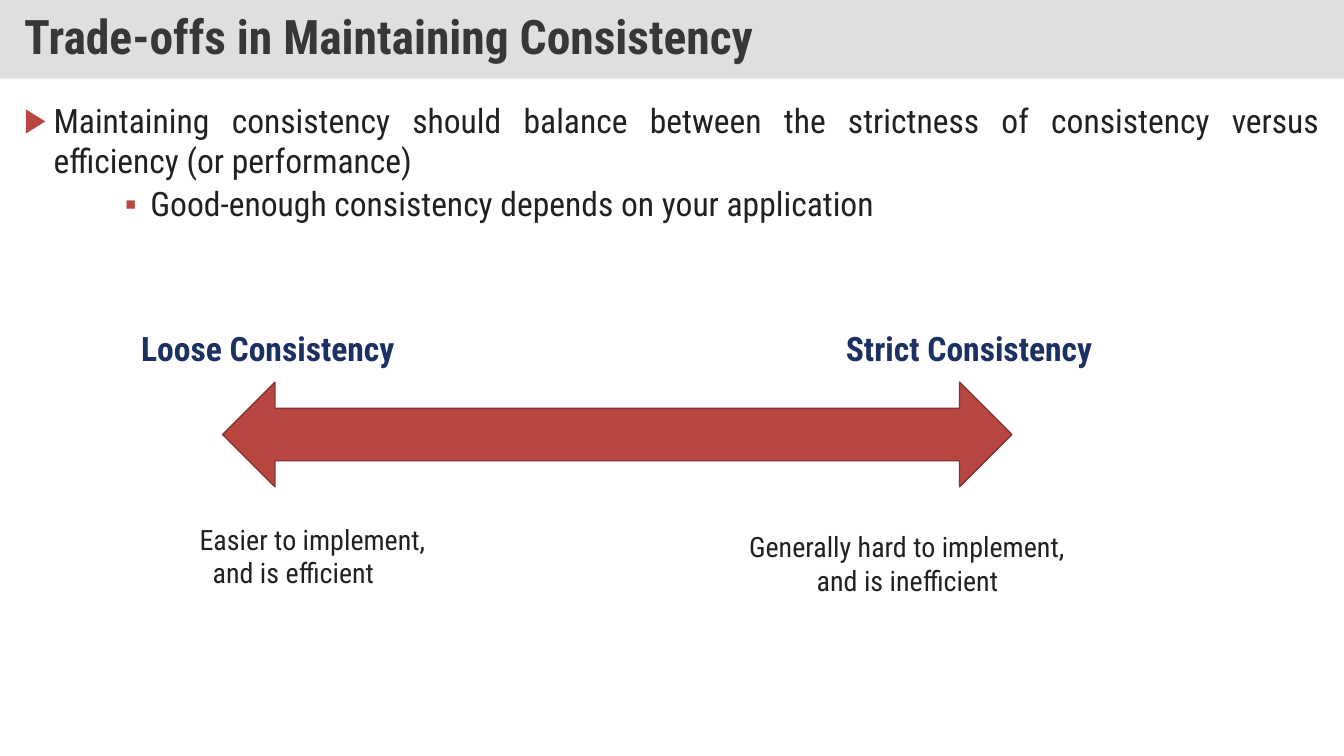
"""Build a slide on the trade-offs between loose and strict consistency."""
import pptx
import pptx.dml.color
import pptx.enum.shapes
import pptx.enum.text
import pptx.oxml
import pptx.oxml.ns
import pptx.util
from pptx.util import Cm

RGBColor = pptx.dml.color.RGBColor
PP_ALIGN = pptx.enum.text.PP_ALIGN
BANNER = RGBColor(0xC0, 0xC0, 0xC0)
TITLE_GREY = RGBColor(0x37, 0x37, 0x37)
INK = RGBColor(0x21, 0x21, 0x21)
NAVY = RGBColor(0x1D, 0x30, 0x64)
RED = RGBColor(0xB8, 0x47, 0x42)
DARK_RED = RGBColor(0x88, 0x35, 0x31)
FONT = "Roboto Condensed"


def format_paragraph(paragraph, size, color, bold, align, margin=0, hanging=0, bullet=None):
    properties = paragraph._p.get_or_add_pPr()
    properties.set("marL", str(Cm(margin)))
    properties.set("indent", str(-Cm(hanging)))
    if bullet:
        namespace = pptx.oxml.ns.nsdecls("a")
        for markup in (
            f'<a:buClr {namespace}><a:srgbClr val="{RED}"/></a:buClr>',
            f'<a:buFont {namespace} typeface="Arial"/>',
            f'<a:buChar {namespace} char="{bullet}"/>',
        ):
            properties.append(pptx.oxml.parse_xml(markup))
    paragraph.alignment = align
    for run in paragraph.runs:
        run.font.name = FONT
        run.font.size = pptx.util.Pt(size)
        run.font.bold = bold
        run.font.color.rgb = color


def add_text(left, top, width, height, text):
    box = slide.shapes.add_textbox(Cm(left), Cm(top), Cm(width), Cm(height))
    box.text_frame.word_wrap = True
    box.text_frame.text = text
    return box.text_frame.paragraphs


presentation = pptx.Presentation()
presentation.slide_width = Cm(33.87)
presentation.slide_height = Cm(19.05)
slide = presentation.slides.add_slide(presentation.slide_layouts[5])

heading = slide.shapes.title
heading.left, heading.top, heading.width, heading.height = 0, 0, Cm(33.87), Cm(1.98)
heading.fill.solid()
heading.fill.fore_color.rgb = BANNER
banner_color = heading._element.spPr.find(".//" + pptx.oxml.ns.qn("a:srgbClr"))
banner_color.append(pptx.oxml.parse_xml(f'<a:alpha {pptx.oxml.ns.nsdecls("a")} val="50000"/>'))
frame = heading.text_frame
frame.text = "Trade-offs in Maintaining Consistency"
frame.auto_size = pptx.enum.text.MSO_AUTO_SIZE.NONE
frame.vertical_anchor = pptx.enum.text.MSO_ANCHOR.MIDDLE
frame.margin_left = frame.margin_right = Cm(0.61)
frame.margin_top = frame.margin_bottom = Cm(0.3)
frame.paragraphs[0].line_spacing = 0.9
format_paragraph(frame.paragraphs[0], 34, TITLE_GREY, True, PP_ALIGN.LEFT)

balance, good_enough = add_text(
    0.36, 2.39, 33.15, 15.52,
    "Maintaining consistency should balance between the strictness of consistency "
    "versus efficiency (or performance)\n"
    "Good-enough consistency depends on your application",
)
format_paragraph(balance, 24, INK, False, PP_ALIGN.JUSTIFY, 0.74, 0.74, "▶")
good_enough.level = 2
good_enough.line_spacing = 0.9
good_enough.space_before = pptx.util.Pt(5)
format_paragraph(good_enough, 24, INK, False, PP_ALIGN.JUSTIFY, 3.18, 0.64, "▪")

spectrum = slide.shapes.add_shape(
    pptx.enum.shapes.MSO_SHAPE.LEFT_RIGHT_ARROW, Cm(5.61), Cm(9.63), Cm(19.89), Cm(2.64)
)
spectrum.shadow.inherit = False
spectrum.fill.solid()
spectrum.fill.fore_color.rgb = RED
spectrum.line.color.rgb = DARK_RED
spectrum.line.width = pptx.util.Pt(1)

for left, extreme in ((3.23, "Loose Consistency"), (20.9, "Strict Consistency")):
    label = add_text(left, 8.15, 7.04, 1.27, extreme)[0]
    format_paragraph(label, 24, NAVY, True, PP_ALIGN.CENTER)

for left, top, width, effect, align, hanging in (
    (4.78, 13.03, 6.68, "Easier to implement, and is efficient", PP_ALIGN.LEFT, 0.33),
    (18.31, 13.23, 9.09, "Generally hard to implement, and is inefficient", PP_ALIGN.CENTER, 0.03),
):
    note = add_text(left, top, width, 1.96, effect)[0]
    format_paragraph(note, 20, INK, False, align, hanging, hanging)

presentation.save("out.pptx")
